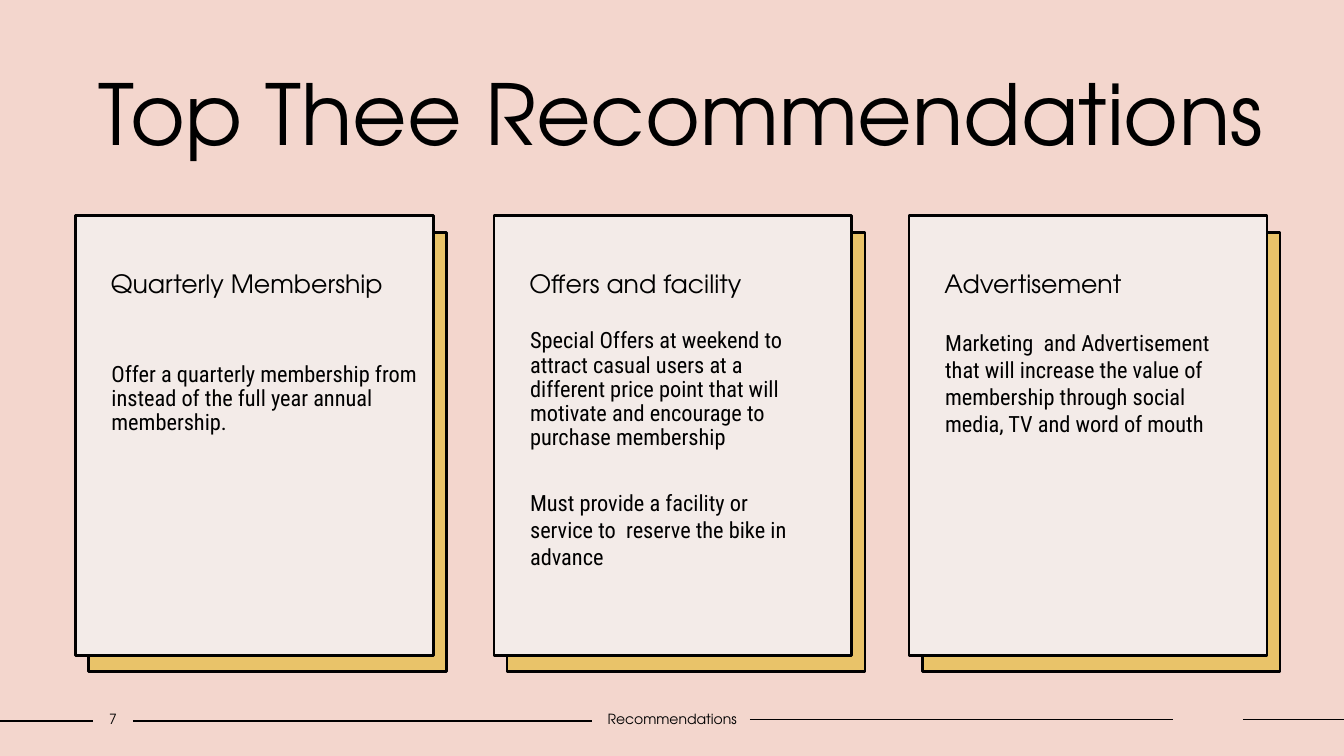
from dataclasses import dataclass

from lxml.etree import SubElement
from pptx import Presentation
from pptx.dml.color import RGBColor
from pptx.enum.shapes import MSO_CONNECTOR, MSO_SHAPE
from pptx.enum.text import MSO_ANCHOR, MSO_AUTO_SIZE, PP_ALIGN
from pptx.oxml.ns import qn
from pptx.util import Cm, Pt

BLACK = RGBColor(0x00, 0x00, 0x00)
PINK = RGBColor(0xF3, 0xD6, 0xCD)
CREAM = RGBColor(0xF3, 0xEB, 0xE8)
GOLD = RGBColor(0xE9, 0xC3, 0x69)

HEADING_FONT = "TeX Gyre Adventor"
BODY_FONT = "Roboto Condensed"


@dataclass
class Card:
    left: float
    heading: str
    paragraphs: list  # (text, line spacing) pairs
    body_top: float = 2.74
    body_width: float = 7.5


CARD_TOP, CARD_WIDTH, CARD_HEIGHT = 5.44, 9.02, 11.07
CARDS = [
    Card(1.9, "Quarterly Membership",
         [("Offer a quarterly membership from instead of the full year "
           "annual membership.", 0.9)],
         body_top=3.58, body_width=8.36),
    Card(12.45, "Offers and facility",
         [("Special Offers at weekend to attract casual users at a different "
           "price point that will motivate and encourage to purchase "
           "membership", 0.9),
          ("Must provide a facility or service to  reserve the bike in "
           "advance", 1.0)]),
    Card(22.91, "Advertisement",
         [("Marketing  and Advertisement that will increase the value of "
           "membership through social media, TV and word of mouth", 1.0)]),
]


def style_paragraph(paragraph, text, font_name, size, alignment=PP_ALIGN.LEFT):
    paragraph.text = text
    paragraph.alignment = alignment
    paragraph.font.name = font_name
    paragraph.font.size = Pt(size)
    paragraph.font.color.rgb = BLACK


def add_title(slide, left, top, width, height):
    title = slide.shapes.title
    title.left, title.top = Cm(left), Cm(top)
    title.width, title.height = Cm(width), Cm(height)
    frame = title.text_frame
    frame.auto_size = MSO_AUTO_SIZE.NONE
    frame.vertical_anchor = MSO_ANCHOR.MIDDLE
    style_paragraph(frame.paragraphs[0], "Top Thee Recommendations",
                    HEADING_FONT, 60, PP_ALIGN.CENTER)


def add_panel(slide, left, top, width, height, color):
    panel = slide.shapes.add_shape(MSO_SHAPE.RECTANGLE, Cm(left), Cm(top),
                                   Cm(width), Cm(height))
    panel.shadow.inherit = False
    panel.fill.solid()
    panel.fill.fore_color.rgb = color
    panel.line.color.rgb = BLACK
    panel.line.width = Pt(2)
    return panel


def add_card(slide, card, top, width, height):
    # Offset gold backing and front panel
    add_panel(slide, card.left + 0.33, top + 0.41, width, height, GOLD)
    panel = add_panel(slide, card.left, top, width, height, CREAM)

    # Heading
    frame = panel.text_frame
    frame.vertical_anchor = MSO_ANCHOR.TOP
    frame.margin_left, frame.margin_top = Cm(0.89), Cm(1.4)
    heading = frame.paragraphs[0]
    style_paragraph(heading, card.heading, HEADING_FONT, 18)
    heading.line_spacing = 0.9

    # Body text
    body = slide.shapes.add_textbox(Cm(card.left + 0.66),
                                    Cm(top + card.body_top),
                                    Cm(card.body_width),
                                    Cm(height - card.body_top - 0.6))
    frame = body.text_frame
    frame.word_wrap = True
    for index, (text, spacing) in enumerate(card.paragraphs):
        paragraph = frame.add_paragraph() if index else frame.paragraphs[0]
        style_paragraph(paragraph, text, BODY_FONT, 16)
        paragraph.line_spacing = spacing
        paragraph.space_before = Pt(28 if index else 0)


def add_footer(slide, top, height):
    # Rules between the labels
    middle = top + height / 2
    for start, end, y in [(0, 2.34, middle + 0.04), (3.35, 14.91, middle + 0.04),
                          (18.9, 29.57, middle), (31.32, 33.87, middle)]:
        rule = slide.shapes.add_connector(MSO_CONNECTOR.STRAIGHT,
                                          Cm(start), Cm(y), Cm(end), Cm(y))
        rule.line.color.rgb = BLACK
        rule.line.width = Pt(1)
        SubElement(rule._element.spPr, qn("a:effectLst"))

    # Page number and section name
    for text, left, width in [("7", 2.34, 1.01),
                              ("Recommendations", 14.91, 4.06)]:
        label = slide.shapes.add_textbox(Cm(left), Cm(top), Cm(width), Cm(height))
        frame = label.text_frame
        frame.word_wrap = True
        frame.margin_left = frame.margin_right = 0
        frame.vertical_anchor = MSO_ANCHOR.MIDDLE
        style_paragraph(frame.paragraphs[0], text, HEADING_FONT, 10,
                        PP_ALIGN.CENTER)


def main():
    presentation = Presentation()
    presentation.slide_width = Cm(33.87)
    presentation.slide_height = Cm(19.05)
    slide = presentation.slides.add_slide(presentation.slide_layouts[5])
    slide.background.fill.solid()
    slide.background.fill.fore_color.rgb = PINK

    add_title(slide, 1.37, 1.42, 31.57, 2.82)
    for card in CARDS:
        add_card(slide, card, CARD_TOP, CARD_WIDTH, CARD_HEIGHT)
    add_footer(slide, 17.78, 0.69)

    presentation.save("out.pptx")


if __name__ == "__main__":
    main()
